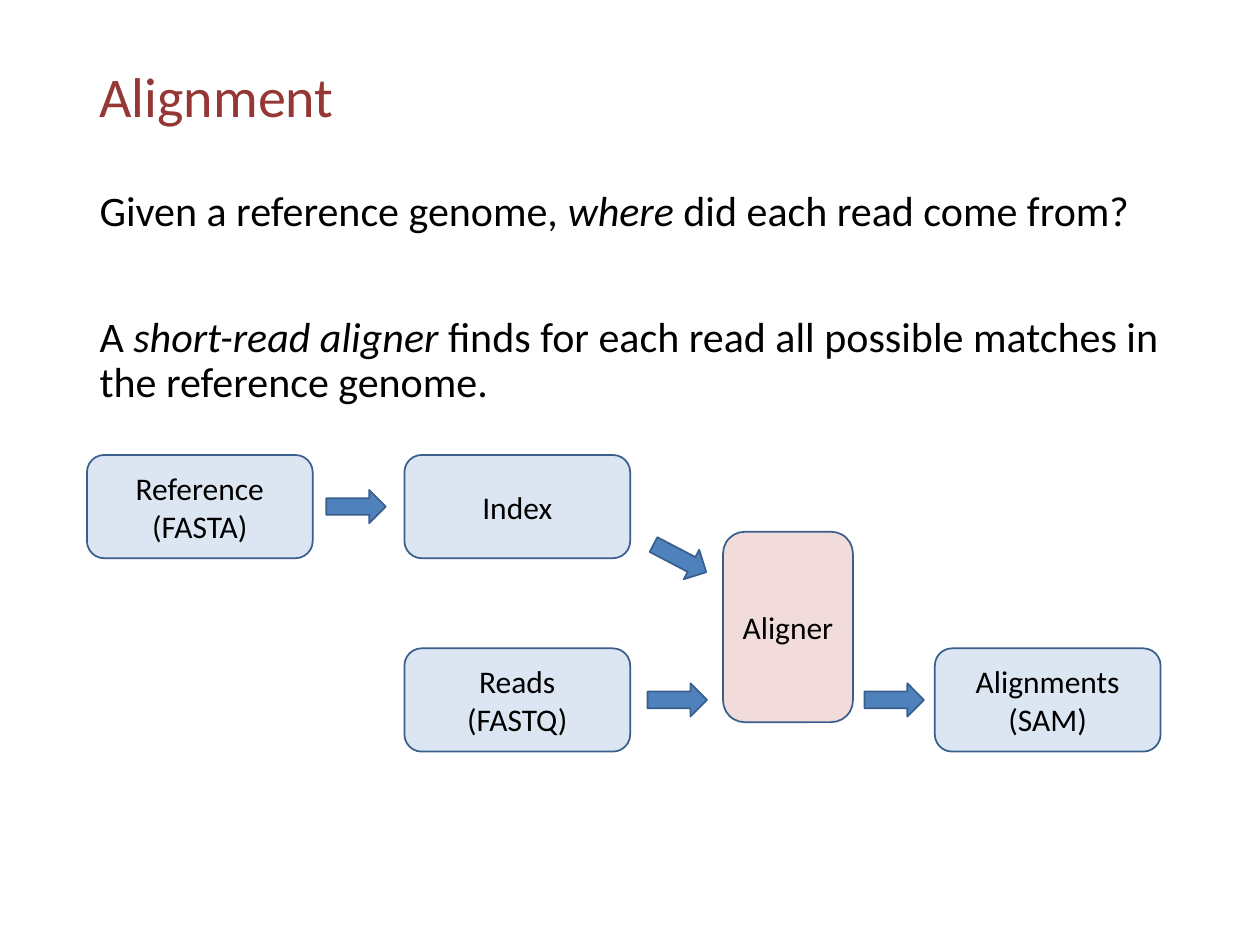
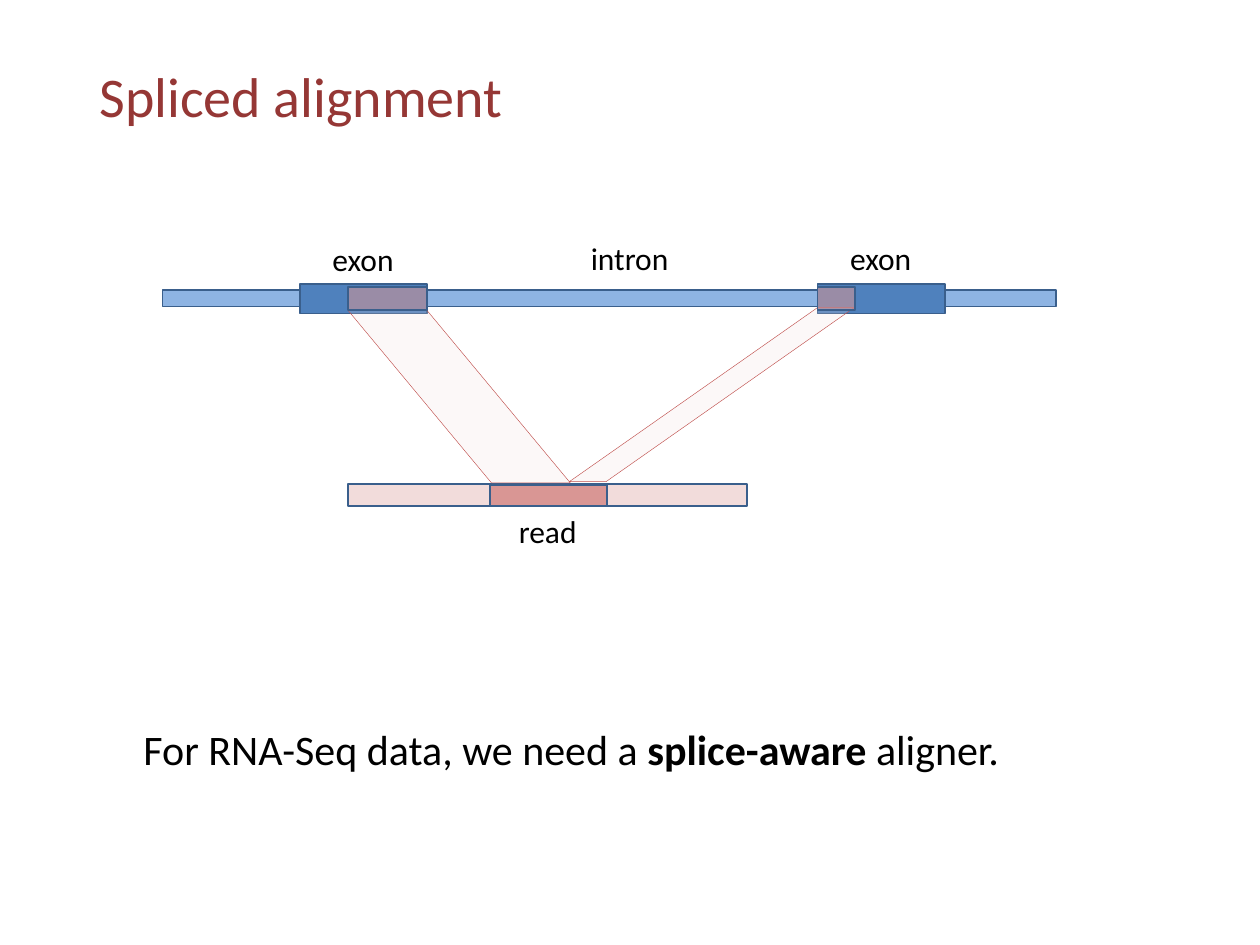
from dataclasses import dataclass

from lxml import etree
from pptx import Presentation
from pptx.dml.color import RGBColor
from pptx.enum import shapes, text
from pptx.oxml import ns
from pptx.util import Pt

GEO = shapes.MSO_SHAPE


@dataclass(frozen=True)
class Theme:
    font: str = "Calibri"
    title: str = "953735"
    ink: str = "000000"
    edge: str = "3A5F8C"
    blue: str = "4F81BD"
    sky: str = "8EB4E3"
    pale: str = "DCE6F2"
    rose: str = "F2DCDB"
    pink: str = "D99694"
    red: str = "C0504D"
    head: int = 32
    body: int = 24
    label: int = 18


THEME = Theme()
BOX = (129, 59)
ARROW = (34, 19)
LEFT, WIDTH = 49.7, 620.6


def place(shape, left, top, width, height):
    shape.left, shape.top = Pt(left), Pt(top)
    shape.width, shape.height = Pt(width), Pt(height)


def style(para, size, color=THEME.ink, align=text.PP_ALIGN.LEFT):
    para.alignment = align
    para.font.name = THEME.font
    para.font.size = Pt(size)
    para.font.color.rgb = RGBColor.from_string(color)


def write(para, runs):
    for words, mark in runs:
        run = para.add_run()
        run.text = words
        if mark == "i":
            run.font.italic = True
        elif mark == "b":
            run.font.bold = True


def add_title(slide, words):
    title = slide.shapes.title
    place(title, LEFT, 28.8, WIDTH, 56.2)
    frame = title.text_frame
    frame.text = words
    frame.vertical_anchor = text.MSO_ANCHOR.MIDDLE
    para = frame.paragraphs[0]
    para.line_spacing = 0.9
    style(para, THEME.head, THEME.title)


def add_body(slide, items):
    body = slide.placeholders[1]
    place(body, LEFT, 105.1, WIDTH, 416.9)
    frame = body.text_frame
    frame.auto_size = text.MSO_AUTO_SIZE.NONE
    for index, (gap, runs) in enumerate(items):
        para = frame.add_paragraph() if index else frame.paragraphs[0]
        para.line_spacing = 0.9
        para.space_before = Pt(gap)
        write(para, runs)
        style(para, THEME.body)
        props = para._p.get_or_add_pPr()
        props.set("marL", "0")
        props.set("indent", "0")
        none = etree.Element(ns.qn("a:buNone"))
        props.find(ns.qn("a:defRPr")).addprevious(none)


def add_shape(slide, kind, left, top, width, height, fill,
              edge=THEME.edge, line=1, alpha=None):
    shape = slide.shapes.add_shape(
        kind, Pt(left), Pt(top), Pt(width), Pt(height))
    shape.shadow.inherit = False
    shape.fill.solid()
    shape.fill.fore_color.rgb = RGBColor.from_string(fill)
    shape.line.color.rgb = RGBColor.from_string(edge)
    shape.line.width = Pt(line)
    if alpha is not None:
        color = shape._element.spPr.find(ns.qn("a:solidFill"))[0]
        etree.SubElement(color, ns.qn("a:alpha"), val=str(alpha * 1000))
    return shape


def add_box(slide, words, left, top, size=BOX, fill=THEME.pale):
    box = add_shape(slide, GEO.ROUNDED_RECTANGLE, left, top, *size, fill)
    frame = box.text_frame
    frame.text = words
    frame.vertical_anchor = text.MSO_ANCHOR.MIDDLE
    style(frame.paragraphs[0], THEME.label, align=text.PP_ALIGN.CENTER)


def add_arrow(slide, left, top, turn=0):
    arrow = add_shape(slide, GEO.RIGHT_ARROW, left, top, *ARROW, THEME.blue)
    arrow.rotation = turn


def add_bar(slide, left, top, width, height, fill, alpha=None):
    add_shape(slide, GEO.RECTANGLE, left, top, width, height, fill,
              alpha=alpha)


def add_beam(slide, left, top, width, height, slant, flip=False):
    beam = add_shape(slide, GEO.PARALLELOGRAM, left, top, width, height,
                     THEME.rose, THEME.red, 0.25, 18)
    beam.adjustments[0] = slant
    if flip:
        beam._element.spPr.xfrm.set("flipH", "1")


def add_text(slide, runs, left, top, width, height, size, wrap=False):
    box = slide.shapes.add_textbox(
        Pt(left), Pt(top), Pt(width), Pt(height))
    frame = box.text_frame
    frame.word_wrap = wrap
    frame.auto_size = text.MSO_AUTO_SIZE.SHAPE_TO_FIT_TEXT
    write(frame.paragraphs[0], runs)
    style(frame.paragraphs[0], size)


def draw_flow(slide):
    add_title(slide, "Alignment")
    add_body(slide, [
        (10, [("Given a reference genome, ", ""), ("where", "i"),
              (" did each read come from?", "")]),
        (46, [("A ", ""), ("short-read aligner", "i"),
              (" finds for each read all possible matches in "
               "the reference genome.", "")]),
    ])
    high, low = 260, 370.5
    for words, left, top in (
            ("Reference\v(FASTA)", LEFT, high),
            ("Index", 231.1, high),
            ("Reads\v(FASTQ)", 231.1, low),
            ("Alignments\v(SAM)", 534.2, low)):
        add_box(slide, words, left, top)
    add_box(slide, "Aligner", 413.2, 303.9, (74.2, 108.8), THEME.rose)
    drop = (BOX[1] - ARROW[1]) / 2
    add_arrow(slide, 370, low + drop)
    add_arrow(slide, 494, low + drop)
    add_arrow(slide, 371.5, 309.6, 27.6)
    add_arrow(slide, 186.5, high + drop)


def draw_splice(slide):
    add_title(slide, "Spliced alignment")
    exons = (171.4, 467.2)
    add_bar(slide, 198.7, 276.5, 228.3, 12.5, THEME.rose)
    add_bar(slide, 92.9, 165.6, 510.4, 9.6, THEME.sky)
    for left in exons:
        add_bar(slide, left, 162.2, 72.8, 17, THEME.blue)
    for words, left, top, width in (
            ("exon", exons[0] + 11.5, 133.6, 49.7),
            ("exon", exons[1] + 11.5, 133.2, 49.7),
            ("intron", 330.5, 133.2, 59),
            ("read", 289.4, 288.9, 48.2)):
        add_text(slide, [(words, "")], left, top, width, 29, THEME.label)
    add_beam(slide, 198.7, 177.1, 127.2, 98.8, 0.831, flip=True)
    add_beam(slide, 325.4, 175.8, 162.7, 99.4, 1.426)
    for left, width in ((198.7, 45.5), (exons[1], 21.6)):
        add_bar(slide, left, 164.1, width, 13, THEME.pink, 55)
    add_bar(slide, 280.1, 277.2, 66.8, 11.8, THEME.pink)
    add_text(slide, [("For RNA-Seq data, we need a ", ""),
                     ("splice-aware", "b"), (" aligner.", "")],
             74.9, 409.7, 551.5, 36, THEME.body, wrap=True)


def main():
    deck = Presentation()
    deck.slide_width, deck.slide_height = Pt(720), Pt(540)
    for layout, draw in ((1, draw_flow), (5, draw_splice)):
        draw(deck.slides.add_slide(deck.slide_layouts[layout]))
    deck.save("out.pptx")


main()
